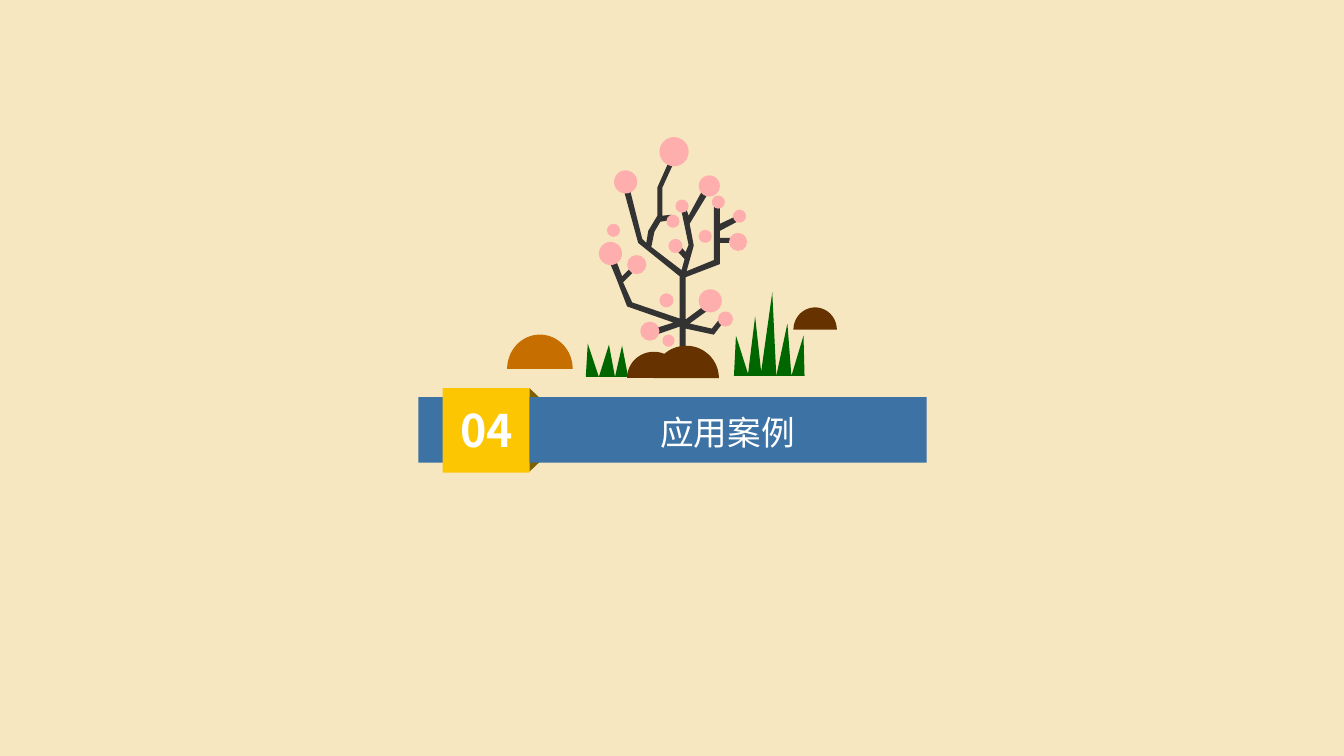
"""Build the section divider slide with a blossoming tree above a numbered banner."""
from math import cos, pi, sin

from lxml.etree import SubElement
from pptx import Presentation
from pptx.dml.color import RGBColor
from pptx.enum.shapes import MSO_SHAPE
from pptx.enum.text import MSO_ANCHOR, MSO_AUTO_SIZE, PP_ALIGN
from pptx.oxml.ns import qn
from pptx.util import Inches, Pt

FONT = "Noto Sans CJK SC"
CREAM, WHITE = "F6E7C0", "FFFFFF"
BLUE, YELLOW, FOLD = "3C72A4", "FDC602", "7F6000"
GREEN, BROWN, OCHRE = "006600", "663300", "C66E00"
BARK, PINK = "333333", "FFAEAE"

LEFT_GRASS = [(5.81, 3.74), (5.83, 3.41), (5.94, 3.74), (6.04, 3.42),
              (6.1, 3.74), (6.17, 3.43), (6.23, 3.74)]
RIGHT_GRASS = [(7.28, 3.73), (7.3, 3.33), (7.42, 3.71), (7.49, 3.14),
               (7.55, 3.69), (7.66, 2.9), (7.7, 3.73), (7.81, 3.21),
               (7.85, 3.73), (7.97, 3.33), (7.98, 3.73)]
TREE = [
    (7.14, 2.29), (7.31, 2.2), (7.29, 2.15), (7.14, 2.22), (7.14, 2.05),
    (7.08, 2.05), (7.08, 2.58), (6.81, 2.69), (6.88, 2.44), (6.88, 2.43),
    (6.84, 2.22), (7.01, 1.94), (6.96, 1.9), (6.83, 2.14), (6.79, 2.02),
    (6.76, 2.06), (6.75, 2.05), (6.83, 2.43), (6.8, 2.5), (6.72, 2.41),
    (6.68, 2.45), (6.79, 2.57), (6.76, 2.68), (6.46, 2.45), (6.49, 2.3),
    (6.55, 2.2), (6.67, 2.18), (6.66, 2.13), (6.57, 2.14), (6.57, 1.86),
    (6.68, 1.62), (6.64, 1.59), (6.52, 1.86), (6.52, 2.14), (6.43, 2.29),
    (6.41, 2.41), (6.37, 2.37), (6.24, 1.85), (6.18, 1.86), (6.33, 2.41),
    (6.74, 2.74), (6.74, 3.16), (6.27, 3), (6.18, 2.8), (6.3, 2.68),
    (6.27, 2.64), (6.17, 2.74), (6.09, 2.53), (6.03, 2.56), (6.12, 2.78),
    (6.22, 3.04), (6.68, 3.2), (6.49, 3.26), (6.51, 3.32), (6.74, 3.24),
    (6.74, 3.64), (6.8, 3.64), (6.8, 3.26), (7.08, 3.32), (7.18, 3.19),
    (7.14, 3.16), (7.06, 3.26), (6.84, 3.21), (7.06, 3.05), (7.03, 3),
    (6.8, 3.17), (6.8, 2.75), (7.14, 2.62), (7.14, 2.41), (7.27, 2.41),
    (7.27, 2.36), (7.14, 2.36)]
BLOSSOMS = [
    (6.54, 1.36, 0.29), (6.09, 1.69, 0.23), (6.22, 2.53, 0.19),
    (7.23, 2.31, 0.18), (7.12, 3.09, 0.15), (6.93, 2.87, 0.23),
    (6.35, 3.19, 0.19), (6.57, 3.32, 0.12), (6.02, 2.22, 0.13),
    (7.27, 2.08, 0.13), (6.61, 2.13, 0.13), (6.7, 1.98, 0.13),
    (6.63, 2.37, 0.14), (6.54, 2.91, 0.14), (7.06, 1.94, 0.13),
    (6.93, 1.74, 0.21), (6.93, 2.28, 0.13), (5.94, 2.4, 0.23)]


def rgb(color):
    """Turn a hex string into a colour."""
    return RGBColor.from_string(color)


def paint(sp, color):
    """Give a shape a flat fill without outline or shadow."""
    sp.fill.solid()
    sp.fill.fore_color.rgb = rgb(color)
    sp.line.fill.background()
    sp.shadow.inherit = False
    return sp


def add_preset(shapes, kind, x, y, w, h, color):
    """Add a flat preset shape."""
    sp = shapes.add_shape(kind, Inches(x), Inches(y), Inches(w), Inches(h))
    return paint(sp, color)


def add_outline(shapes, points, color):
    """Add a flat closed polygon."""
    corners = [(Inches(x), Inches(y)) for x, y in points]
    builder = shapes.build_freeform(*corners[0])
    builder.add_line_segments(corners[1:], close=True)
    paint(builder.convert_to_shape(), color)


def add_mound(shapes, x, y, w, h, color, steps=40):
    """Add the upper half of an ellipse."""
    angles = [pi * i / steps for i in range(steps + 1)]
    points = [(x + w / 2 * (1 - cos(a)), y + h * (1 - sin(a))) for a in angles]
    add_outline(shapes, points, color)


def add_fold(shapes, y, apex, rotation):
    """Add a dark ribbon fold beside the number tile."""
    sp = add_preset(shapes, MSO_SHAPE.ISOSCELES_TRIANGLE, 5.25, y, 0.19, 0.18, FOLD)
    sp.adjustments[0] = apex
    sp.rotation = rotation


def add_banner(shapes):
    """Add the ribbon with its folds and number tile."""
    group = shapes.add_group_shape().shapes
    add_fold(group, 3.85, 0, 0)
    add_fold(group, 4.5, 1, 180)
    add_preset(group, MSO_SHAPE.RECTANGLE, 4.15, 3.94, 5.04, 0.65, BLUE)
    add_preset(group, MSO_SHAPE.RECTANGLE, 4.39, 3.85, 0.86, 0.84, YELLOW)


def set_text(sp, text, size, bold=False):
    """Write one centred white line."""
    tf = sp.text_frame
    tf.text = text
    p = tf.paragraphs[0]
    p.alignment = PP_ALIGN.CENTER
    r = p.runs[0]
    r.font.size, r.font.bold, r.font.name = Pt(size), bold, FONT
    r.font.color.rgb = rgb(WHITE)
    SubElement(r.font._element, qn("a:ea")).set("typeface", FONT)
    return tf


def add_number(shapes, text):
    """Add the section number."""
    sp = shapes.add_textbox(Inches(4.45), Inches(3.95), Inches(0.76), Inches(0.64))
    tf = set_text(sp, text, 32, bold=True)
    tf.word_wrap = False
    tf.auto_size = MSO_AUTO_SIZE.SHAPE_TO_FIT_TEXT


def place_title(shapes, text):
    """Put the title on top of the banner."""
    sp = shapes.title
    sp.left, sp.top, sp.width, sp.height = map(Inches, (5.01, 4.01, 4.41, 0.55))
    tf = set_text(sp, text, 24)
    tf.auto_size = MSO_AUTO_SIZE.NONE
    tf.vertical_anchor = MSO_ANCHOR.MIDDLE
    sp.element.getparent().append(sp.element)


def main():
    """Build and save the slide."""
    prs = Presentation()
    prs.slide_width, prs.slide_height = Inches(13.33), Inches(7.5)
    s = prs.slides.add_slide(prs.slide_layouts[5])
    s.background.fill.solid()
    s.background.fill.fore_color.rgb = rgb(CREAM)
    shapes = s.shapes
    add_banner(shapes)
    add_number(shapes, "04")
    place_title(shapes, "应用案例")
    add_outline(shapes, LEFT_GRASS, GREEN)
    add_mound(shapes, 7.87, 3.05, 0.43, 0.22, BROWN)
    add_mound(shapes, 5.03, 3.32, 0.65, 0.34, OCHRE)
    add_mound(shapes, 6.22, 3.49, 0.53, 0.26, BROWN)
    add_outline(shapes, TREE, BARK)
    for x, y, size in BLOSSOMS:
        add_preset(shapes, MSO_SHAPE.OVAL, x, y, size, size, PINK)
    add_outline(shapes, RIGHT_GRASS, GREEN)
    add_mound(shapes, 6.48, 3.43, 0.65, 0.32, BROWN)
    prs.save("out.pptx")


if __name__ == "__main__":
    main()
